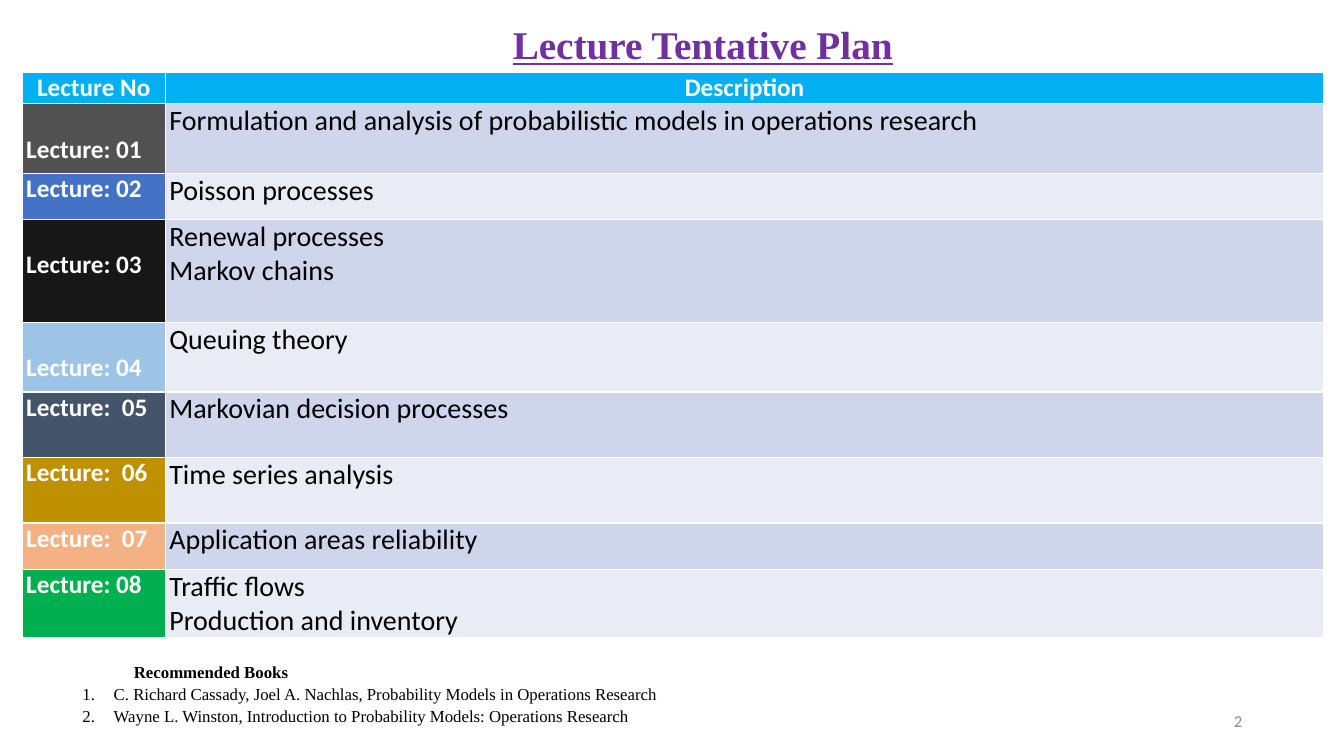
"""Build the lecture plan slide with its schedule table and reading list."""
import pptx
import pptx.dml.color
import pptx.enum.text
import pptx.oxml
import pptx.util
from pptx.oxml.ns import qn

ALIGN = pptx.enum.text.PP_ALIGN
ANCHOR = pptx.enum.text.MSO_ANCHOR
SERIF = "Times New Roman"
WIDTH, HEIGHT = 13.33, 7.5

TITLE = "Lecture Tentative Plan"
HEADINGS = ["Lecture No", "Description"]
HEADER_FILL, HEADER_HEIGHT = "00B0F0", 0.31
BAND_FILLS = ["CFD5EA", "E9EBF5"]
COLUMN_WIDTHS = [1.42, 11.49]
LOWERED = 0.3
LECTURES = [
    ("Lecture: 01", "525252", 0.69, LOWERED,
     ["Formulation and analysis of probabilistic models in operations research"]),
    ("Lecture: 02", "4472C4", 0.46, 0, ["Poisson processes"]),
    ("Lecture: 03", "181717", 1.02, LOWERED, ["Renewal processes", "Markov chains"]),
    ("Lecture: 04", "9DC3E6", 0.69, LOWERED, ["Queuing theory"]),
    ("Lecture:  05", "44546A", 0.65, 0, ["Markovian decision processes"]),
    ("Lecture:  06", "BF9000", 0.65, 0, ["Time series analysis"]),
    ("Lecture:  07", "F4B183", 0.46, 0, ["Application areas reliability"]),
    ("Lecture: 08", "00B050", 0.68, 0, ["Traffic flows", "Production and inventory"]),
]
BOOKS_HEADING = "Recommended Books"
BOOKS = [
    "C. Richard Cassady, Joel A. Nachlas, Probability Models in Operations Research",
    "Wayne L. Winston, Introduction to Probability Models: Operations Research",
]
PAGE_NUMBER = "2"


def color(value):
    """Turn a hex string into a colour."""
    return pptx.dml.color.RGBColor.from_string(value)


def box(left, top, width, height):
    """Turn inches into a position and size."""
    return [pptx.util.Inches(value) for value in (left, top, width, height)]


def write(frame, lines, size=18, font="Calibri", ink="000000", bold=False,
          underline=False, align=ALIGN.LEFT, anchor=ANCHOR.TOP, spacing=1.0):
    """Fill a text frame with one formatted paragraph per line."""
    frame.word_wrap = True
    frame.vertical_anchor = anchor
    for index, line in enumerate(lines):
        paragraph = frame.add_paragraph() if index else frame.paragraphs[0]
        paragraph.alignment = align
        paragraph.line_spacing = spacing
        run = paragraph.add_run()
        run.text = line
        run.font.size = pptx.util.Pt(size)
        run.font.name = font
        run.font.bold = bold
        run.font.underline = underline
        run.font.color.rgb = color(ink)
    return frame.paragraphs


def fill_cell(cell, lines, fill, top=0, **text_format):
    """Colour a table cell and write its text."""
    cell.fill.solid()
    cell.fill.fore_color.rgb = color(fill)
    cell.margin_left = cell.margin_right = pptx.util.Inches(0.04)
    cell.margin_top, cell.margin_bottom = pptx.util.Inches(top), 0
    write(cell.text_frame, lines, **text_format)


def indent(paragraph, left, hanging=0, numbered=False):
    """Indent a paragraph and number it if asked."""
    properties = paragraph._p.get_or_add_pPr()
    properties.set("marL", str(pptx.util.Inches(left)))
    properties.set("indent", str(-pptx.util.Inches(hanging)))
    if numbered:
        number = pptx.oxml.parse_xml(
            '<a:buAutoNum xmlns:a="http://schemas.openxmlformats.org/drawingml/2006/main"'
            ' type="arabicPeriod"/>')
        properties.append(number)


def add_title(slide):
    """Place and format the title."""
    title = slide.shapes.title
    title.left, title.top, title.width, title.height = box(3.7, 0.15, 6.54, 0.57)
    write(title.text_frame, [TITLE], size=28, font=SERIF, ink="7030A0",
          bold=True, underline=True, align=ALIGN.CENTER)


def add_schedule(slide):
    """Add the table of lectures."""
    heights = [HEADER_HEIGHT] + [lecture[2] for lecture in LECTURES]
    table = slide.shapes.add_table(
        len(heights), len(COLUMN_WIDTHS),
        *box(0.22, 0.72, sum(COLUMN_WIDTHS), sum(heights))).table
    for column, width in zip(table.columns, COLUMN_WIDTHS):
        column.width = pptx.util.Inches(width)
    for row, height in zip(table.rows, heights):
        row.height = pptx.util.Inches(height)
    for index, heading in enumerate(HEADINGS):
        fill_cell(table.cell(0, index), [heading], HEADER_FILL,
                  ink="FFFFFF", bold=True, align=ALIGN.CENTER)
    for index, (label, fill, height, top, topics) in enumerate(LECTURES):
        fill_cell(table.cell(index + 1, 0), [label], fill, top, ink="FFFFFF", bold=True)
        fill_cell(table.cell(index + 1, 1), topics, BAND_FILLS[index % 2],
                  size=20, align=ALIGN.JUSTIFY)


def add_books(slide):
    """Add the reading list under the table."""
    frame = slide.shapes.add_textbox(*box(0.22, 6.5, 8.04, 0.71)).text_frame
    heading, *books = write(frame, [BOOKS_HEADING] + BOOKS, size=12, font=SERIF, spacing=1.08)
    heading.runs[0].font.bold = True
    indent(heading, 1.01)
    for paragraph in books:
        indent(paragraph, 0.81, hanging=0.31, numbered=True)


def main():
    """Build and save the presentation."""
    presentation = pptx.Presentation()
    presentation.slide_width = pptx.util.Inches(WIDTH)
    presentation.slide_height = pptx.util.Inches(HEIGHT)
    slide = presentation.slides.add_slide(presentation.slide_layouts[5])
    add_title(slide)
    add_schedule(slide)
    add_books(slide)
    number = slide.shapes.add_textbox(*box(9.42, 6.95, 3, 0.4))
    write(number.text_frame, [PAGE_NUMBER], size=12, ink="8C8C8C",
          align=ALIGN.RIGHT, anchor=ANCHOR.MIDDLE)
    presentation.save("out.pptx")


if __name__ == "__main__":
    main()
